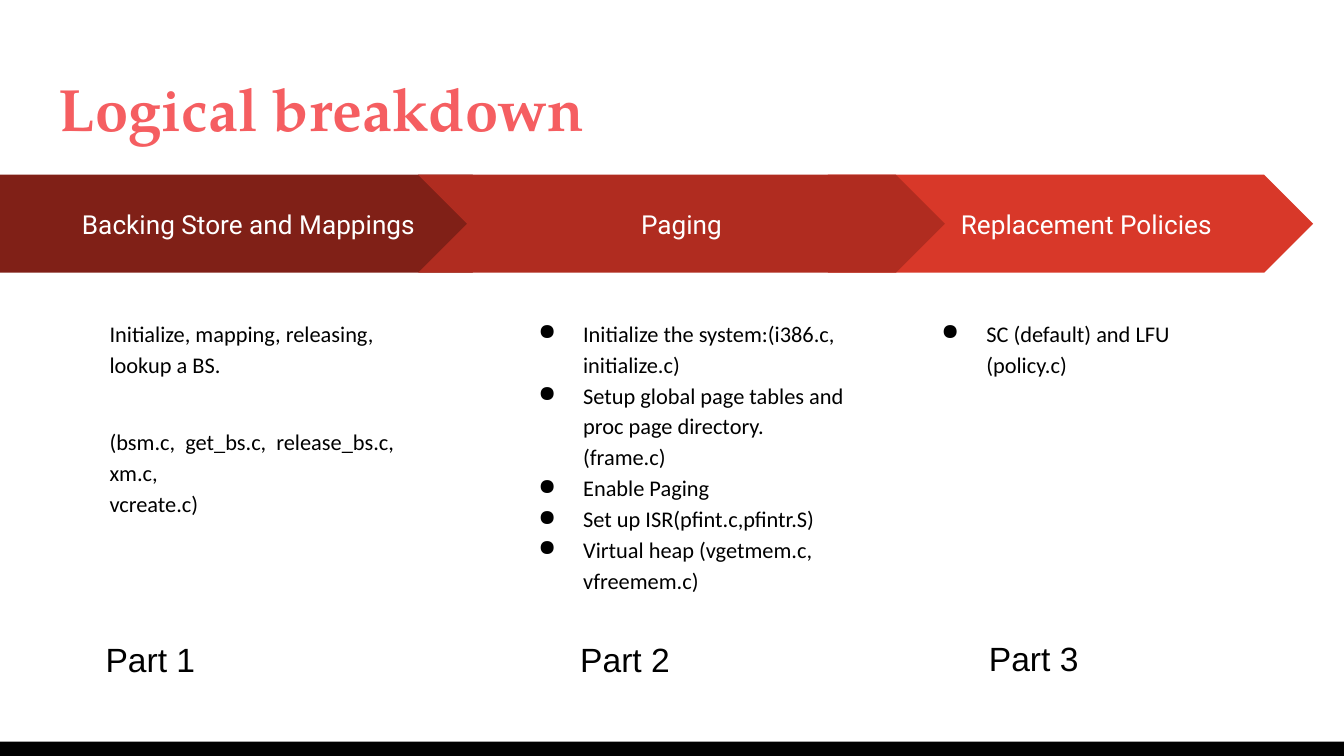
from dataclasses import dataclass

from lxml.etree import SubElement
from pptx import Presentation
from pptx.dml.color import RGBColor
from pptx.enum.shapes import MSO_SHAPE as Shape
from pptx.enum.text import MSO_ANCHOR as Anchor, PP_ALIGN as Align
from pptx.oxml.ns import qn
from pptx.util import Pt


@dataclass(frozen=True)
class Style:
    font: str
    size: float
    color: str
    bold: bool = False


@dataclass(frozen=True)
class Theme:
    title: Style = Style("TeX Gyre Pagella", 32, "F55E61", True)
    step: Style = Style("Roboto", 14, "FFFFFF")
    body: Style = Style("Calibri", 12, "000000")
    label: Style = Style("Arial", 18, "000000")
    footer: str = "000000"
    dark: str = "802017"
    mid: str = "B02C20"
    light: str = "D83829"


THEME = Theme()
INSET = 7.2
STEP_TOP, STEP_HEIGHT = 93.6, 52.5
BODY_TOP, BODY_HEIGHT = 162, 206


def set_insets(tf, left=INSET, top=INSET):
    tf.margin_left = Pt(left)
    tf.margin_right = Pt(INSET)
    tf.margin_top = tf.margin_bottom = Pt(top)


def write(p, text, style):
    p.text = text
    for r in p.runs:
        r.font.name = style.font
        r.font.size = Pt(style.size)
        r.font.bold = style.bold
        r.font.color.rgb = RGBColor.from_string(style.color)


def add_filled(slide, kind, left, top, width, height, color):
    sp = slide.shapes.add_shape(kind, Pt(left), Pt(top), Pt(width), Pt(height))
    sp.shadow.inherit = False
    sp.fill.solid()
    sp.fill.fore_color.rgb = RGBColor.from_string(color)
    sp.line.fill.background()
    return sp


def add_step(slide, kind, left, width, color, text, align=Align.CENTER, indent=INSET):
    sp = add_filled(slide, kind, left, STEP_TOP, width, STEP_HEIGHT, color)
    sp.adjustments[0] = 0.5
    tf = sp.text_frame
    tf.word_wrap = True
    tf.vertical_anchor = Anchor.MIDDLE
    set_insets(tf, left=indent)
    write(tf.paragraphs[0], text, THEME.step)
    tf.paragraphs[0].alignment = align


def add_text(slide, left, top, width, height, lines, style, inset=INSET):
    """Add a text box with one paragraph per line; return the paragraphs."""
    box = slide.shapes.add_textbox(Pt(left), Pt(top), Pt(width), Pt(height))
    tf = box.text_frame
    tf.word_wrap = True
    set_insets(tf, top=inset)
    for i, line in enumerate(lines):
        p = tf.add_paragraph() if i else tf.paragraphs[0]
        write(p, line, style)
    return tf.paragraphs


def add_bullet(p):
    pPr = p._p.get_or_add_pPr()
    pPr.set("marL", str(Pt(36)))
    pPr.set("indent", str(-Pt(24)))
    color = SubElement(pPr, qn("a:buClr"))
    SubElement(color, qn("a:srgbClr"), val=THEME.body.color)
    SubElement(pPr, qn("a:buChar"), char="●")


def add_body(slide, left, width, lines, bullets=True):
    paragraphs = add_text(slide, left, BODY_TOP, width, BODY_HEIGHT, lines, THEME.body)
    for p in paragraphs:
        p.line_spacing = 1.15
        if bullets:
            add_bullet(p)
    return paragraphs


def main():
    prs = Presentation()
    prs.slide_width, prs.slide_height = Pt(720), Pt(405)
    slide = prs.slides.add_slide(prs.slide_layouts[6])

    add_filled(slide, Shape.RECTANGLE, 0, 397.4, 720, 7.6, THEME.footer)
    add_text(slide, 24.5, 31, 671, 49, ["Logical breakdown"], THEME.title)

    # The middle chevron comes last: it overlaps both neighbours.
    add_step(slide, Shape.CHEVRON, 443.5, 260, THEME.light,
             "Replacement Policies", Align.LEFT, indent=45)
    add_step(slide, Shape.PENTAGON, 0, 279.4, THEME.dark, "Backing Store and Mappings")
    add_step(slide, Shape.CHEVRON, 224, 282.2, THEME.mid, "Paging")

    store = add_body(slide, 51.6, 176.4, [
        "Initialize, mapping, releasing, lookup a BS.",
        "(bsm.c,  get_bs.c,  release_bs.c, xm.c,",
        "vcreate.c)",
    ], bullets=False)
    store[1].space_before = Pt(24.8)
    add_body(slide, 269.3, 190.8, [
        "Initialize the system:(i386.c, initialize.c)",
        "Setup global page tables and proc page directory.(frame.c)",
        "Enable Paging",
        "Set up ISR(pfint.c,pfintr.S)",
        "Virtual heap (vgetmem.c, vfreemem.c)",
    ])
    add_body(slide, 485.3, 176.4, ["SC (default) and LFU (policy.c)"])

    for number, (left, top) in enumerate([(49.5, 339), (303.8, 339), (522.7, 338)], 1):
        add_text(slide, left, top, 116, 29, [f"Part {number}"], THEME.label, inset=3.6)

    prs.save("out.pptx")


if __name__ == "__main__":
    main()
